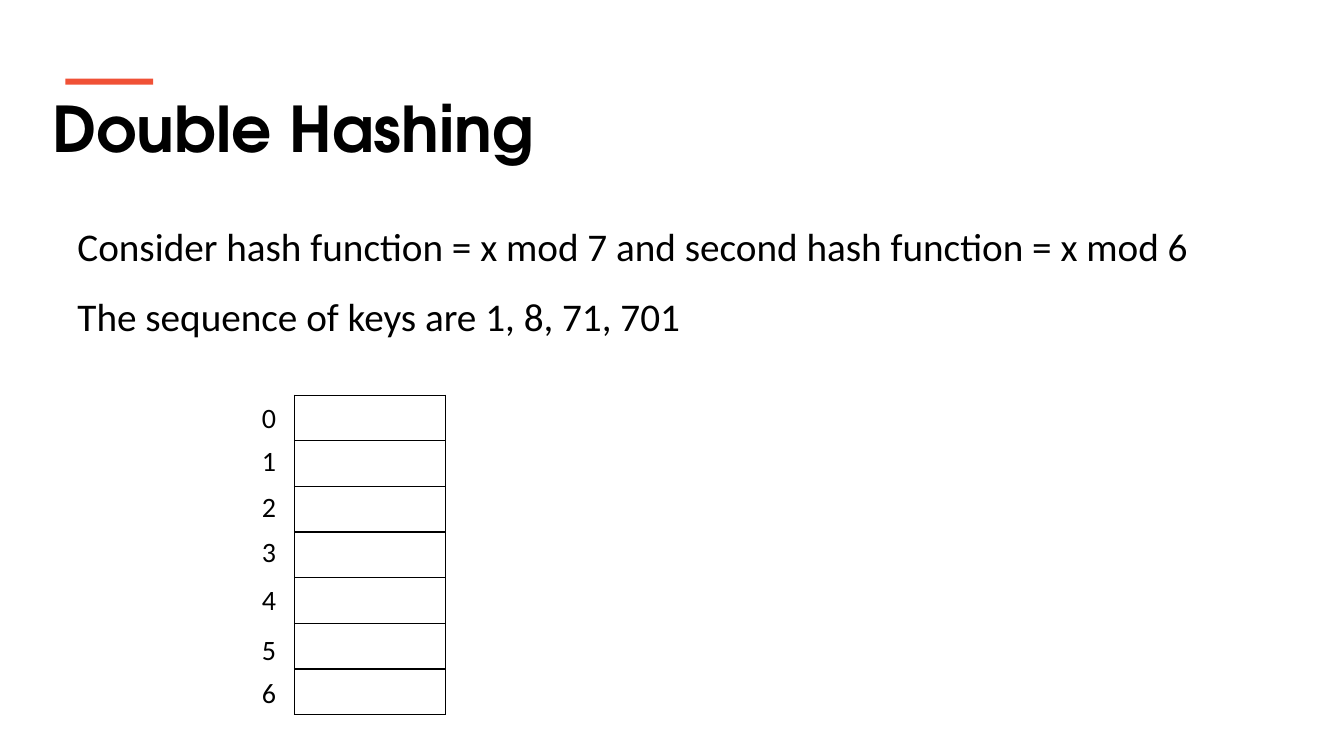
from lxml import etree
from pptx import Presentation
from pptx import util as u
from pptx.dml.color import RGBColor
from pptx.enum import shapes, text
from pptx.oxml.ns import qn

HUES = {"ink": "000000", "bar": "F05136", "page": "FFFFFF"}

deck = Presentation()
deck.slide_width, deck.slide_height = u.Inches(13.33), u.Inches(7.5)
slide = deck.slides.add_slide(deck.slide_layouts[6])


def hue(name):
    return RGBColor.from_string(HUES[name])


def write(words, box, size, font="Calibri", bold=False, wrap=True, space=1.0):
    frame = slide.shapes.add_textbox(*map(u.Inches, box)).text_frame
    frame.word_wrap = wrap
    frame.auto_size = text.MSO_AUTO_SIZE.SHAPE_TO_FIT_TEXT
    frame.text = words
    for para in frame.paragraphs:
        para.line_spacing = space
        face = para.runs[0].font
        face.name, face.size, face.bold = font, u.Pt(size), bold
        face.color.rgb = hue("ink")


# Title with its accent bar
write("Double Hashing", (0.42, 0.84, 12.18, 0.86), 45,
      font="TeX Gyre Adventor", bold=True)
bar = slide.shapes.add_shape(shapes.MSO_SHAPE.RECTANGLE,
                             *map(u.Inches, (0.65, 0.78, 0.87, 0.06)))
bar.shadow.inherit = False
bar.fill.solid()
bar.fill.fore_color.rgb = hue("bar")
bar.line.fill.background()

# Empty hash table
SLOTS, LEFT, TOP, WIDE, HIGH = 7, 2.92, 3.92, 1.5, 3.17
grid = slide.shapes.add_table(
    SLOTS, 1, *map(u.Inches, (LEFT, TOP, WIDE, HIGH))).table
grid.first_row = grid.horz_banding = False
for row in grid.rows:
    cell = row.cells[0]
    props = cell._tc.get_or_add_tcPr()
    for side in ("a:lnL", "a:lnR", "a:lnT", "a:lnB"):
        edge = etree.SubElement(props, qn(side), w=str(u.Pt(1)))
        fill = etree.SubElement(edge, qn("a:solidFill"))
        etree.SubElement(fill, qn("a:srgbClr"), val=HUES["ink"])
    cell.fill.solid()
    cell.fill.fore_color.rgb = hue("page")

# Slot numbers, set by eye beside the rows
tops = (3.92, 4.35, 4.81, 5.25, 5.73, 6.23, 6.65)
for slot, top in enumerate(tops):
    write(str(slot), (LEFT - 0.42, top, 0.34, 0.44), 20, wrap=False)

# Problem statement
write("Consider hash function = x mod 7 and second hash function = x mod 6\n"
      "The sequence of keys are 1, 8, 71, 701",
      (0.67, 1.92, 12, 1.51), 28, space=1.5)

deck.save("out.pptx")
